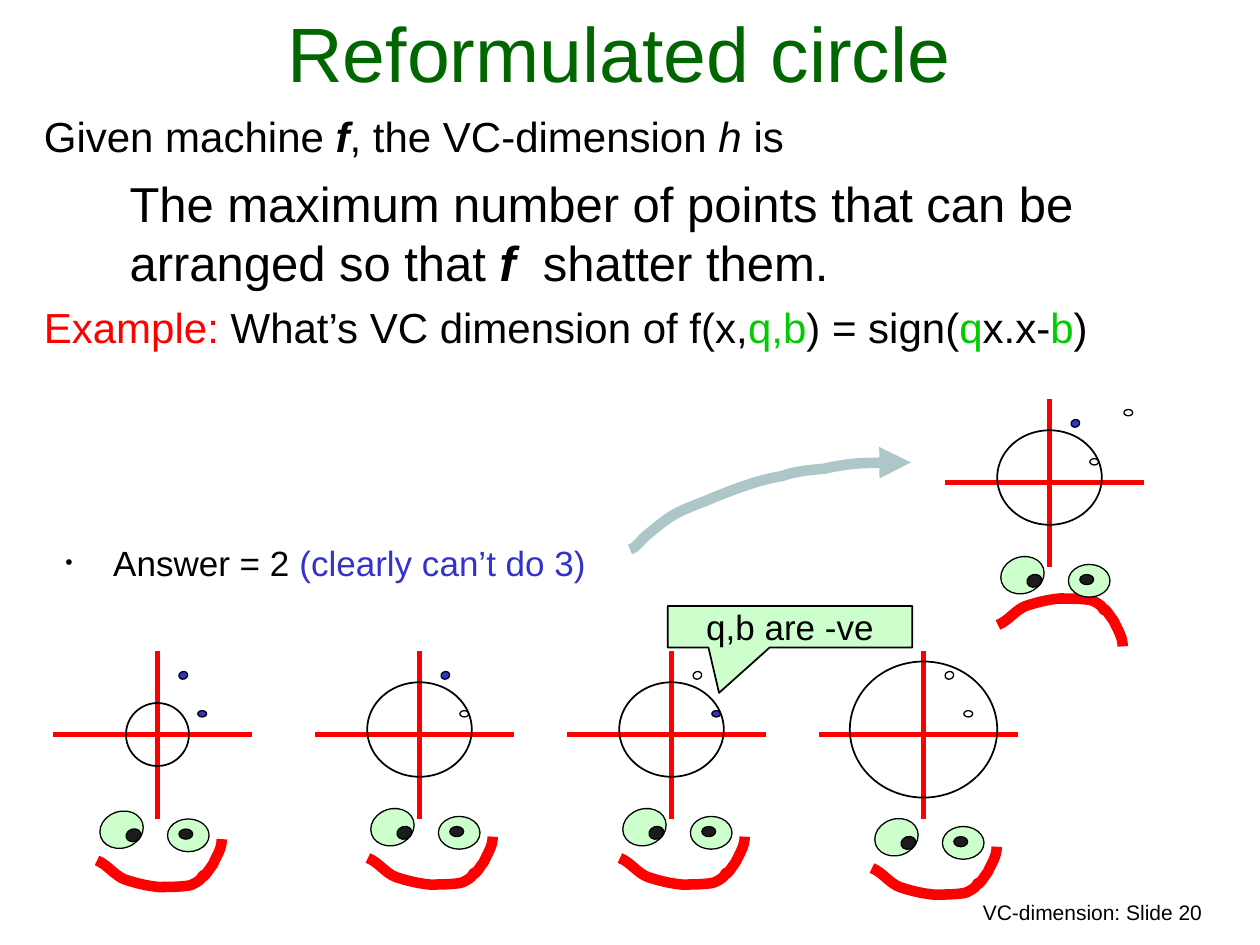
from dataclasses import dataclass
from typing import Optional

from lxml.etree import SubElement
from pptx import Presentation
from pptx.dml.color import RGBColor
from pptx.enum.shapes import MSO_CONNECTOR, MSO_SHAPE
from pptx.enum.text import MSO_ANCHOR, MSO_AUTO_SIZE, PP_ALIGN
from pptx.oxml.ns import qn
from pptx.util import Inches, Pt


@dataclass(frozen=True)
class Theme:
    font: str = "Arial"
    black: str = "000000"
    white: str = "FFFFFF"
    title: str = "006600"
    red: str = "FF0000"
    green: str = "00CC00"
    blue: str = "3333CC"
    pale: str = "CCFFCC"
    pupil: str = "1C1C1C"
    arrow: str = "ADC6C7"
    title_size: int = 44
    definition_size: int = 28
    body_size: int = 24
    note_size: int = 20
    footer_size: int = 12


T = Theme()
TILT = 341.4


@dataclass(frozen=True)
class Span:
    text: str
    color: str = T.black
    bold: bool = False
    italic: bool = False


@dataclass(frozen=True)
class Plot:
    """Axes crossing at (x, y), two points, a decision circle and a face."""
    x: float
    y: float
    near: str
    far: str
    circle: tuple[float, float]
    circle_dy: float
    face_x: float
    face_y: float
    happy: bool = True


PLOTS = [
    Plot(1.25, 5.83, T.blue, T.blue, (0.5, 0.5), 0, 0.77, 6.44),
    Plot(3.33, 5.83, T.white, T.blue, (0.83, 0.75), -0.04, 2.92, 6.42),
    Plot(5.33, 5.83, T.blue, T.white, (0.83, 0.75), -0.04, 4.92, 6.42),
    Plot(7.33, 5.83, T.white, T.white, (1.17, 1.08), -0.04, 6.92, 6.5),
    Plot(8.33, 3.83, T.white, T.blue, (0.83, 0.75), -0.04, 7.92, 4.42, happy=False),
]

# Start point, then three points for each Bezier segment.
SMILE_HEIGHT = 0.38
SMILE = [(0, 0.17), (0.08, 0.2), (0.14, 0.29), (0.22, 0.32),
         (0.31, 0.35), (0.39, 0.37), (0.49, 0.38),
         (0.56, 0.38), (0.64, 0.38), (0.72, 0.37),
         (0.76, 0.37), (0.82, 0.32), (0.82, 0.32),
         (0.88, 0.23), (0.8, 0.35), (0.87, 0.27),
         (0.89, 0.25), (0.9, 0.22), (0.92, 0.2),
         (0.95, 0.13), (0.99, 0.08), (0.99, 0)]
ARROW = [(5, 4.36), (5.06, 4.34), (5.08, 4.29), (5.13, 4.25),
         (5.19, 4.2), (5.25, 4.15), (5.31, 4.11),
         (5.41, 4.04), (5.55, 4), (5.66, 3.95),
         (5.84, 3.88), (6.01, 3.81), (6.2, 3.78),
         (6.31, 3.74), (6.43, 3.73), (6.54, 3.72),
         (6.77, 3.67), (7.01, 3.67), (7.23, 3.67)]


def rgb(color: str) -> RGBColor:
    return RGBColor.from_string(color)


def style(sp, fill: Optional[str], line: str, width: float) -> None:
    sp.shadow.inherit = False
    if fill:
        sp.fill.solid()
        sp.fill.fore_color.rgb = rgb(fill)
    else:
        sp.fill.background()
    sp.line.color.rgb = rgb(line)
    sp.line.width = Pt(width)


def place(sp, x: float, y: float, w: float, h: float) -> None:
    sp.left, sp.top, sp.width, sp.height = map(Inches, (x, y, w, h))


def add_spans(p, spans: list[Span], size: int, before: float = 0,
              align: PP_ALIGN = PP_ALIGN.LEFT) -> None:
    p.alignment = align
    p.space_before = Pt(before)
    for span in spans:
        r = p.add_run()
        r.text = span.text
        r.font.name, r.font.size = T.font, Pt(size)
        r.font.bold, r.font.italic = span.bold, span.italic
        r.font.color.rgb = rgb(span.color)


def indent(p, left: float, first: float) -> None:
    pPr = p._p.get_or_add_pPr()
    pPr.set("marL", str(Inches(left)))
    pPr.set("indent", str(Inches(first)))


def add_bullet(p) -> None:
    pPr = p._p.get_or_add_pPr()
    SubElement(SubElement(pPr, qn("a:buClr")), qn("a:srgbClr"), val=T.black)
    SubElement(pPr, qn("a:buSzPct"), val="60000")
    SubElement(pPr, qn("a:buFont"), typeface=T.font)
    SubElement(pPr, qn("a:buChar"), char="•")


def add_text_box(shapes, x: float, y: float, w: float, h: float):
    tf = shapes.add_textbox(*map(Inches, (x, y, w, h))).text_frame
    tf.word_wrap = True
    return tf


def add_oval(shapes, x: float, y: float, w: float, h: float, fill: Optional[str],
             width: float = 0.75, rotation: float = 0) -> None:
    sp = shapes.add_shape(MSO_SHAPE.OVAL, *map(Inches, (x, y, w, h)))
    style(sp, fill, T.black, width)
    sp.rotation = rotation


def add_axis(shapes, x1: float, y1: float, x2: float, y2: float) -> None:
    line = shapes.add_connector(MSO_CONNECTOR.STRAIGHT, *map(Inches, (x1, y1, x2, y2)))
    line.line.color.rgb = rgb(T.red)
    line.line.width = Pt(3)
    SubElement(line._element.spPr, qn("a:effectLst"))


def add_curve(shapes, pts: list[tuple[float, float]], color: str):
    """Draw an open outline whose points after the first are cubic Bezier triples."""
    start, *controls = [(Inches(x), Inches(y)) for x, y in pts]
    builder = shapes.build_freeform(*start)
    builder.add_line_segments(controls, close=False)
    sp = builder.convert_to_shape()
    outline = next(sp._element.iter(qn("a:path")))
    segments = outline.findall(qn("a:lnTo"))
    for i in range(0, len(segments), 3):
        bezier = SubElement(outline, qn("a:cubicBezTo"))
        for segment in segments[i:i + 3]:
            bezier.append(segment[0])
            outline.remove(segment)
    style(sp, None, color, 6)
    return sp


def add_face(shapes, x: float, y: float, happy: bool) -> None:
    if happy:
        mouth = [(x + dx, y + 0.22 + dy) for dx, dy in SMILE]
    else:
        mouth = [(x + dx, y + 0.33 + SMILE_HEIGHT - dy) for dx, dy in SMILE]
    add_curve(shapes, mouth, T.red)
    add_oval(shapes, x + 0.56, y + 0.06, 0.33, 0.26, T.pale)
    add_oval(shapes, x + 0.02, y, 0.35, 0.29, T.pale, rotation=TILT)
    add_oval(shapes, x + 0.65, y + 0.14, 0.11, 0.08, T.pupil)
    add_oval(shapes, x + 0.23, y + 0.14, 0.12, 0.1, T.pupil, rotation=TILT)


def add_plot(shapes, plot: Plot) -> None:
    x, y = plot.x, plot.y
    w, h = plot.circle
    add_axis(shapes, x, y - 0.66, x, y + 0.67)
    add_axis(shapes, x - 0.83, y, x + 0.75, y)
    add_oval(shapes, x + 0.32, y - 0.19, 0.07, 0.05, plot.near)
    add_oval(shapes, x + 0.17, y - 0.5, 0.07, 0.06, plot.far, rotation=TILT)
    add_oval(shapes, x - w / 2, y + plot.circle_dy - h / 2, w, h, None, width=1)
    add_face(shapes, plot.face_x, plot.face_y, plot.happy)


def add_texts(shapes) -> None:
    title = shapes.title
    place(title, 0.25, 0.08, 9.33, 0.75)
    tf = title.text_frame
    tf.auto_size, tf.vertical_anchor = MSO_AUTO_SIZE.NONE, MSO_ANCHOR.BOTTOM
    add_spans(tf.paragraphs[0], [Span("Reformulated circle", T.title)], T.title_size,
              align=PP_ALIGN.CENTER)

    machine = Span("f", bold=True, italic=True)
    tf = add_text_box(shapes, 0.25, 0.83, 9.38, 2.5)
    given, definition, example = tf.paragraphs[0], tf.add_paragraph(), tf.add_paragraph()
    add_spans(given, [Span("Given machine "), machine, Span(", the VC-dimension "),
                      Span("h", italic=True), Span(" is")], T.body_size, 6)
    add_spans(definition, [Span("The maximum number of points that can be arranged so that "),
                           machine, Span("  shatter them.")], T.definition_size, 7)
    add_spans(example, [Span("Example: ", T.red), Span("What’s VC dimension of f(x,"),
                        Span("q,b", T.green), Span(") = sign("), Span("q", T.green),
                        Span("x.x-"), Span("b", T.green), Span(")")], T.body_size, 6)
    indent(given, 0.38, -0.38)
    indent(definition, 0.68, 0)
    indent(example, 0.38, -0.38)

    p = add_text_box(shapes, 0.42, 4.25, 9.38, 0.5).paragraphs[0]
    add_spans(p, [Span("Answer = 2 "), Span("(clearly can’t do 3)", T.blue)], T.note_size, 5)
    indent(p, 0.38, -0.38)
    add_bullet(p)

    p = add_text_box(shapes, 5.72, 7.09, 3.92, 0.3).paragraphs[0]
    add_spans(p, [Span("VC-dimension: Slide 20")], T.footer_size, 7.5, PP_ALIGN.RIGHT)


def add_callout(shapes) -> None:
    sp = shapes.add_shape(MSO_SHAPE.RECTANGULAR_CALLOUT, *map(Inches, (5.3, 4.81, 1.94, 0.33)))
    sp.adjustments[0], sp.adjustments[1] = -0.29, 1.59
    style(sp, T.pale, T.black, 1)
    tf = sp.text_frame
    tf.word_wrap, tf.vertical_anchor = True, MSO_ANCHOR.MIDDLE
    add_spans(tf.paragraphs[0], [Span("q,b are -ve")], T.note_size, 12.5, PP_ALIGN.CENTER)


def main() -> None:
    prs = Presentation()
    prs.slide_width, prs.slide_height = Inches(10), Inches(7.5)
    shapes = prs.slides.add_slide(prs.slide_layouts[5]).shapes
    add_texts(shapes)
    for plot in PLOTS:
        add_plot(shapes, plot)
    add_oval(shapes, 8.92, 3.25, 0.07, 0.05, T.white)
    add_callout(shapes)
    arrow = add_curve(shapes, ARROW, T.arrow)
    SubElement(arrow.line._get_or_add_ln(), qn("a:tailEnd"), type="triangle")
    prs.save("out.pptx")


if __name__ == "__main__":
    main()
